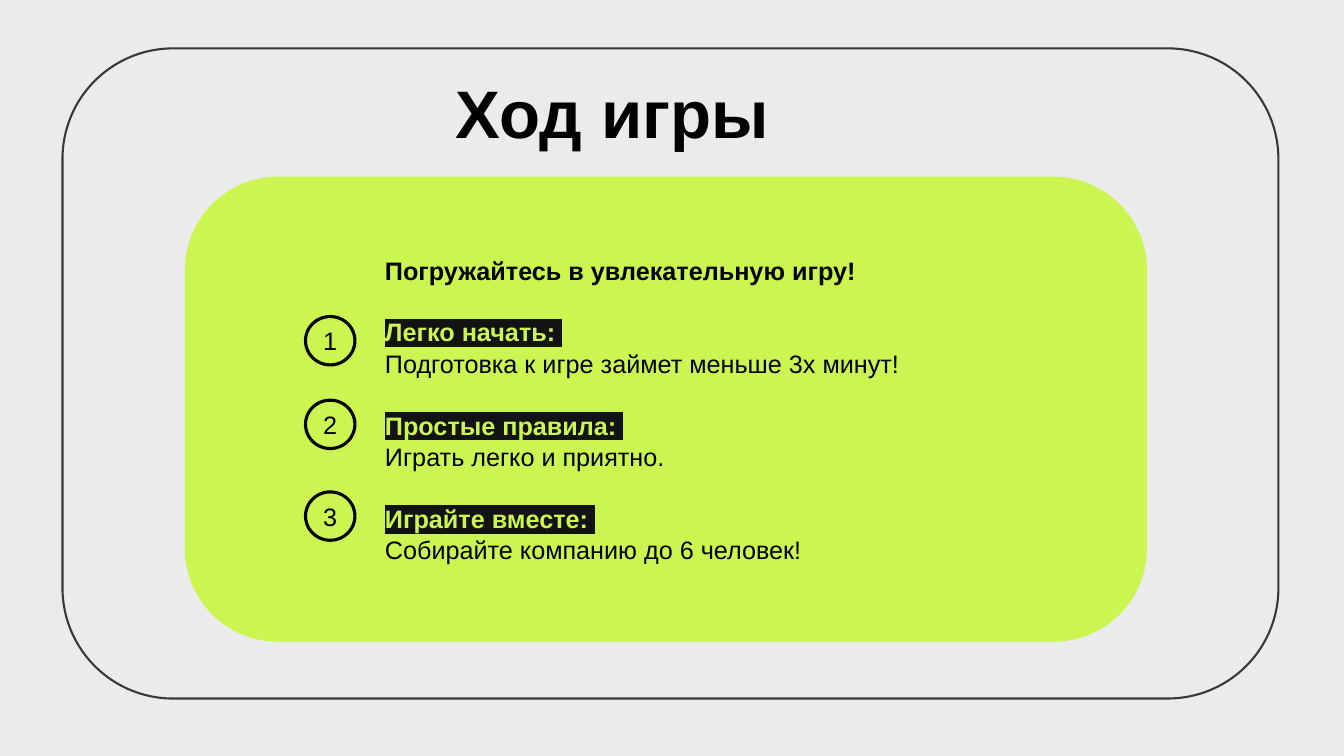
from lxml import etree
from pptx import Presentation
from pptx.dml.color import RGBColor
from pptx.enum.shapes import MSO_SHAPE
from pptx.enum.text import MSO_ANCHOR, PP_ALIGN
from pptx.oxml.ns import qn
from pptx.util import Inches, Pt

ROUNDED, OVAL = MSO_SHAPE.ROUNDED_RECTANGLE, MSO_SHAPE.OVAL
MIDDLE = MSO_ANCHOR.MIDDLE
LEFT, CENTER, JUSTIFY = PP_ALIGN.LEFT, PP_ALIGN.CENTER, PP_ALIGN.JUSTIFY

BLACK, DARK, FRAME, LIME, GRAY = "000000", "131313", "3A3838", "CBF551", "EBEBEB"
LINE_SPACING = 1.04
GAP = 21.6

STEPS = [
    ("Легко начать: ", "Подготовка к игре займет меньше 3х минут!", 0.67),
    ("Простые правила: ", "Играть легко и приятно.", 1.5),
    ("Играйте вместе: ", "Собирайте компанию до 6 человек!", 2.41),
]


def rgb(value):
    return RGBColor.from_string(value)


def add_outline(s, kind, box, line, width, fill=None, adj=None):
    sp = s.shapes.add_shape(kind, *map(Inches, box))
    sp.shadow.inherit = False
    if fill:
        sp.fill.solid()
        sp.fill.fore_color.rgb = rgb(fill)
    else:
        sp.fill.background()
    sp.line.color.rgb = rgb(line)
    sp.line.width = Pt(width)
    if adj is not None:
        sp.adjustments[0] = adj
    return sp


def add_textbox(s, box):
    tf = s.shapes.add_textbox(*map(Inches, box)).text_frame
    tf.word_wrap = True
    return tf


def write(p, text, size=18, color=BLACK, bold=False, align=LEFT, highlight=None):
    p.alignment = align
    r = p.add_run()
    r.text = text
    for name, value in {"name": "Arial", "size": Pt(size), "bold": bold}.items():
        setattr(r.font, name, value)
    r.font.color.rgb = rgb(color)
    if highlight:
        mark = etree.Element(qn("a:highlight"))
        etree.SubElement(mark, qn("a:srgbClr"), val=highlight)
        r.font.fill._xPr.find(qn("a:solidFill")).addnext(mark)


def add_title(s, box):
    tf = add_textbox(s, box)
    tf.vertical_anchor = MIDDLE
    tf.margin_left = Inches(1.1)
    write(tf.paragraphs[0], "Ход игры", size=48, bold=True)


def add_steps_text(s, box):
    tf = add_textbox(s, box)
    write(tf.paragraphs[0], "Погружайтесь в увлекательную игру!", bold=True, align=JUSTIFY)
    for heading, detail, _ in STEPS:
        p = tf.add_paragraph()
        p.space_before = Pt(GAP)
        write(p, heading, color=LIME, bold=True, align=JUSTIFY, highlight=DARK)
        write(tf.add_paragraph(), detail, align=JUSTIFY)
    for p in tf.paragraphs:
        p.line_spacing = LINE_SPACING


def add_step_numbers(s, left, top):
    for number, (_, _, offset) in enumerate(STEPS, 1):
        sp = add_outline(s, OVAL, (left, top + offset, 0.49, 0.48), BLACK, 2.25)
        tf = sp.text_frame
        tf.vertical_anchor = MIDDLE
        write(tf.paragraphs[0], str(number), align=CENTER)


def add_game_slide(prs):
    s = prs.slides.add_slide(prs.slide_layouts[6])
    s.background.fill.solid()
    s.background.fill.fore_color.rgb = rgb(GRAY)
    add_outline(s, ROUNDED, (1.84, 1.76, 9.53, 4.6), LIME, 1, fill=LIME, adj=0.2)
    add_title(s, (3.42, 0.57, 9.26, 1.08))
    add_steps_text(s, (3.72, 2.47, 6.57, 3.16))
    add_outline(s, ROUNDED, (0.62, 0.48, 12.06, 6.45), FRAME, 1.5, adj=0.17)
    add_step_numbers(s, 3.03, 2.47)


def main():
    prs = Presentation()
    prs.slide_width, prs.slide_height = Inches(13.33), Inches(7.5)
    add_game_slide(prs)
    prs.save("out.pptx")


if __name__ == "__main__":
    main()
